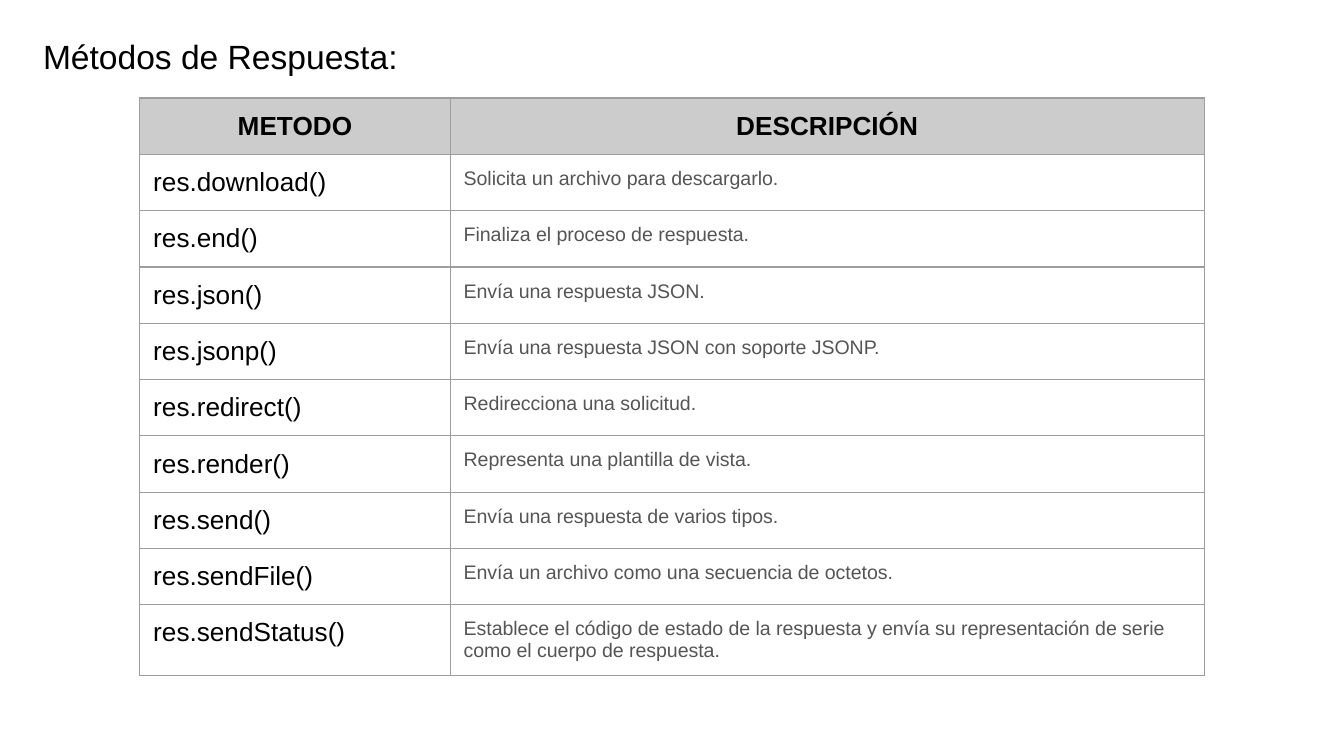
from lxml import etree
from pptx import Presentation
from pptx import util as u
from pptx.dml.color import RGBColor
from pptx.enum import text
from pptx.oxml import ns

BLACK = RGBColor(0x00, 0x00, 0x00)
GRAY = RGBColor(0x55, 0x55, 0x55)
HEADER = RGBColor(0xCC, 0xCC, 0xCC)
BORDER = RGBColor(0x9E, 0x9E, 0x9E)
WHITE = RGBColor(0xFF, 0xFF, 0xFF)
FONT = "Arial"
INSET = u.Inches(0.1)

COLUMNS = ("METODO", "DESCRIPCIÓN")
METHODS = [
    ("res.download()", "Solicita un archivo para descargarlo."),
    ("res.end()", "Finaliza el proceso de respuesta."),
    ("res.json()", "Envía una respuesta JSON."),
    ("res.jsonp()", "Envía una respuesta JSON con soporte JSONP."),
    ("res.redirect()", "Redirecciona una solicitud."),
    ("res.render()", "Representa una plantilla de vista."),
    ("res.send()", "Envía una respuesta de varios tipos."),
    ("res.sendFile()", "Envía un archivo como una secuencia de octetos."),
    ("res.sendStatus()", "Establece el código de estado de la respuesta y envía "
     "su representación de serie como el cuerpo de respuesta."),
]


def add_run(p, content, size, color, bold=False):
    """Add one formatted run to a paragraph."""
    r = p.add_run()
    r.text = content
    r.font.name = FONT
    r.font.size = u.Pt(size)
    r.font.bold = bold
    r.font.color.rgb = color


def set_insets(box):
    """Give a text frame or cell the same inset on every side."""
    box.margin_left = box.margin_right = INSET
    box.margin_top = box.margin_bottom = INSET


def set_borders(cell):
    """Draw a thin border on the four sides of a cell."""
    tc_pr = cell._tc.get_or_add_tcPr()
    for side in ("a:lnL", "a:lnR", "a:lnT", "a:lnB"):
        ln = etree.SubElement(tc_pr, ns.qn(side), w=str(u.Pt(0.75)))
        fill = etree.SubElement(ln, ns.qn("a:solidFill"))
        etree.SubElement(fill, ns.qn("a:srgbClr"), val=str(BORDER))


def fill_cell(cell, content, size, color, header):
    """Write and format one table cell."""
    set_insets(cell)
    set_borders(cell)
    if header:
        cell.fill.solid()
        cell.fill.fore_color.rgb = HEADER
    else:
        cell.fill.background()
    p = cell.text_frame.paragraphs[0]
    p.alignment = text.PP_ALIGN.CENTER if header else text.PP_ALIGN.LEFT
    add_run(p, content, size, color, header)


def place_title(s, left, top, width, height):
    """Place the slide title at the top left of its box."""
    sp = s.shapes.title
    sp.left, sp.top = u.Inches(left), u.Inches(top)
    sp.width, sp.height = u.Inches(width), u.Inches(height)
    tf = sp.text_frame
    tf.word_wrap = True
    tf.auto_size = text.MSO_AUTO_SIZE.NONE
    tf.vertical_anchor = text.MSO_ANCHOR.TOP
    set_insets(tf)
    p = tf.paragraphs[0]
    p.alignment = text.PP_ALIGN.LEFT
    p.line_spacing = 1.15
    p.space_before = u.Pt(0)
    p.space_after = u.Pt(16)
    add_run(p, "Métodos de Respuesta:", 18, BLACK)


def add_methods_table(s, left, top, widths, row_height):
    """Add the table of methods and their descriptions."""
    rows = [COLUMNS] + METHODS
    table = s.shapes.add_table(
        len(rows), len(widths), u.Inches(left), u.Inches(top),
        u.Inches(sum(widths)), row_height * len(rows)).table
    table.horz_banding = False
    for column, width in zip(table.columns, widths):
        column.width = u.Inches(width)
    for i, (method, description) in enumerate(rows):
        header = i == 0
        table.rows[i].height = row_height
        fill_cell(table.cell(i, 0), method, 14, BLACK, header)
        size, color = (14, BLACK) if header else (10.5, GRAY)
        fill_cell(table.cell(i, 1), description, size, color, header)


def main():
    """Build and save the slide."""
    prs = Presentation()
    prs.slide_width = u.Inches(10)
    prs.slide_height = u.Inches(10) * 9 // 16
    s = prs.slides.add_slide(prs.slide_layouts[5])
    s.background.fill.solid()
    s.background.fill.fore_color.rgb = WHITE
    place_title(s, 0.22, 0.12, 9.32, 5.38)
    add_methods_table(s, 1.04, 0.73, (2.31, 5.61), u.Pt(30))
    prs.save("out.pptx")


if __name__ == "__main__":
    main()
